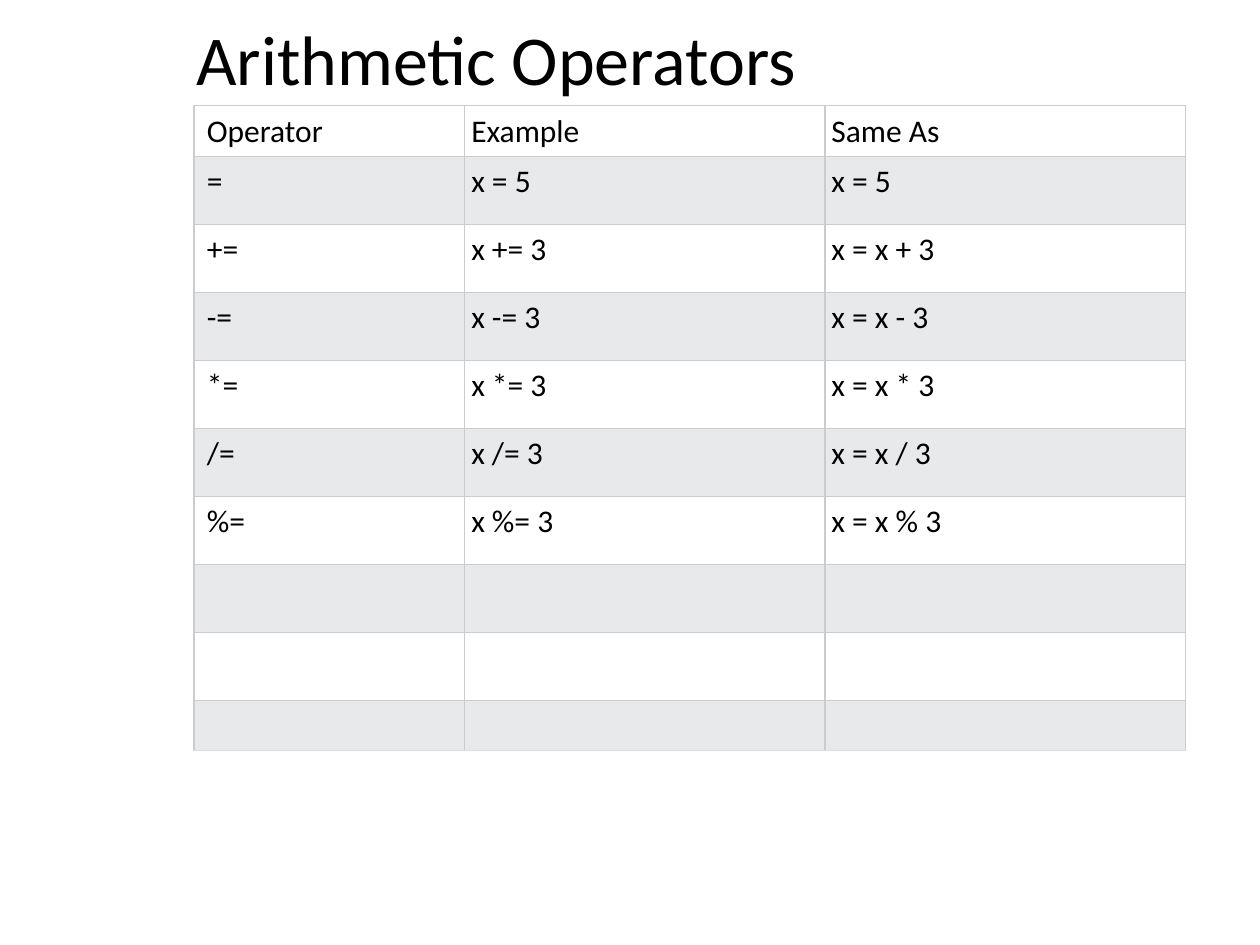
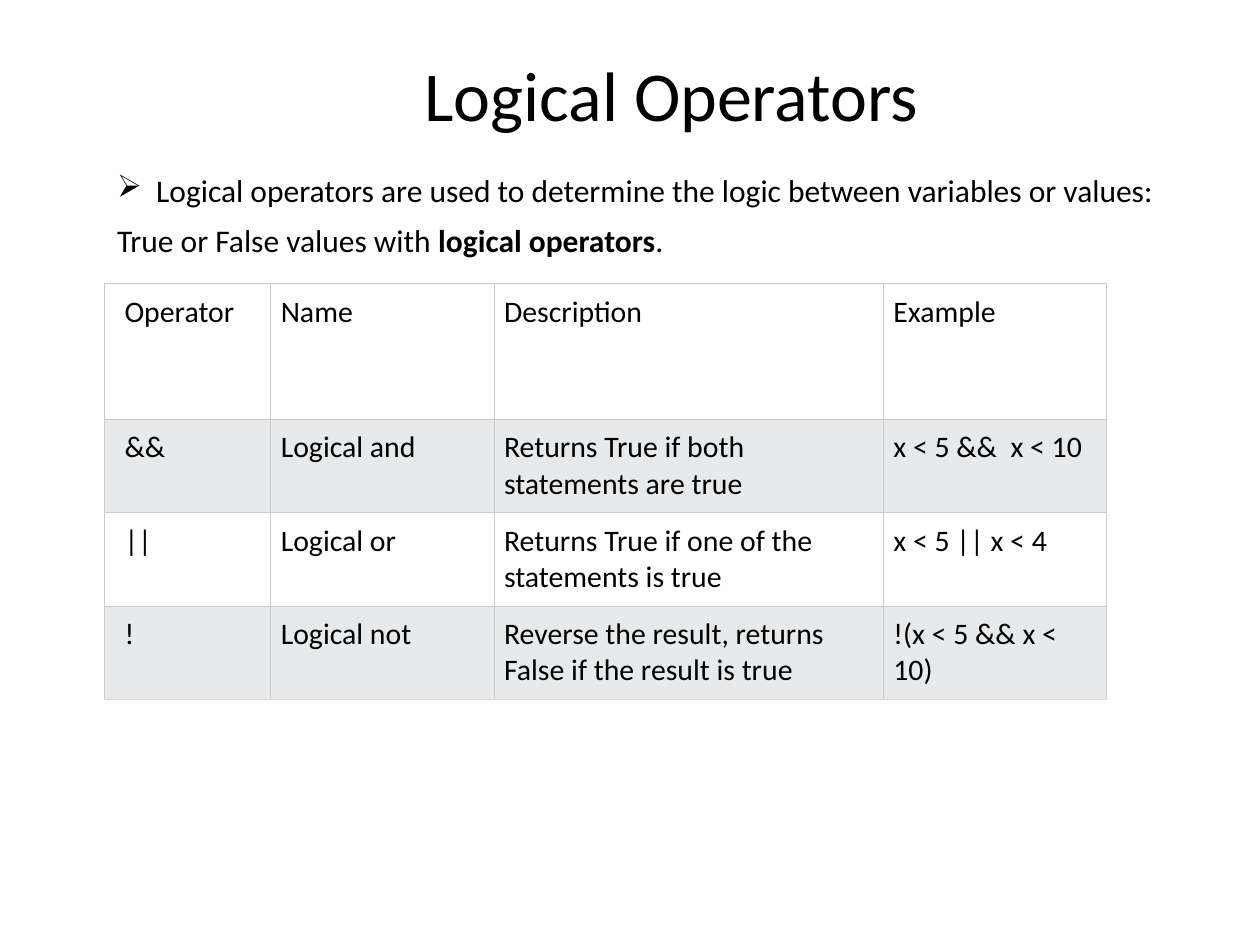
from lxml import etree
from pptx import Presentation, util as u
from pptx.dml.color import RGBColor
from pptx.enum import text
from pptx.oxml.ns import qn

FONT = "Calibri"
INK = "000000"
BANDS = ["FFFFFF", "E7E9EB"]
GRID, BASE = "CCCCCC", "DDDDDD"


def rgb(code):
    return RGBColor.from_string(code)


class Deck:
    """Holds the style and the current slide."""

    def __init__(self):
        self.prs = Presentation()
        self.prs.slide_width = u.Cm(25.4)
        self.prs.slide_height = u.Cm(19.05)
        self.slide = None

    def page(self):
        self.slide = self.prs.slides.add_slide(self.prs.slide_layouts[6])

    def run(self, para, words, size, bold=False):
        run = para.add_run()
        run.text = words
        font = run.font
        font.name, font.size, font.bold = FONT, u.Pt(size), bold
        font.color.rgb = rgb(INK)

    def box(self, left, top, width, height, runs, size=18, wrap=True):
        """Add a text box; runs are (words, bold) pairs. Return its paragraph."""
        box = self.slide.shapes.add_textbox(*map(u.Cm, (left, top, width, height)))
        frame = box.text_frame
        frame.word_wrap = wrap
        frame.auto_size = text.MSO_AUTO_SIZE.SHAPE_TO_FIT_TEXT
        para = frame.paragraphs[0]
        for words, bold in runs:
            self.run(para, words, size, bold)
        return para

    def title(self, left, top, width, words, wrap=True):
        self.box(left, top, width, 1.96, [(words, False)], 40, wrap)

    def bullet(self, para, mark, indent):
        props = para._p.get_or_add_pPr()
        props.set("marL", str(u.Cm(indent)))
        props.set("indent", str(-u.Cm(indent)))
        etree.SubElement(props, qn("a:buChar")).set("char", mark)

    def edge(self, cell, side, color):
        line = etree.SubElement(cell._tc.get_or_add_tcPr(), qn("a:ln" + side))
        line.set("w", str(u.Pt(0.75)))
        fill = etree.SubElement(line, qn("a:solidFill"))
        etree.SubElement(fill, qn("a:srgbClr")).set("val", color)

    def table(self, left, top, cols, heights, rows, size, pad):
        frame = self.slide.shapes.add_table(
            len(heights), len(cols), u.Cm(left), u.Cm(top),
            u.Cm(sum(cols)), u.Cm(sum(heights)))
        grid = frame.table
        grid.first_row = grid.horz_banding = False
        for col, width in zip(grid.columns, cols):
            col.width = u.Cm(width)
        last = len(heights) - 1
        for r, height in enumerate(heights):
            grid.rows[r].height = u.Cm(height)
            for c in range(len(cols)):
                cell = grid.cell(r, c)
                # The first column is indented twice as far
                cell.margin_left = u.Cm(pad if c else 2 * pad)
                cell.margin_right = cell.margin_top = cell.margin_bottom = u.Cm(pad)
                for side in "LRTB":
                    low = side == "B" and r == last
                    self.edge(cell, side, BASE if low else GRID)
                cell.fill.solid()
                cell.fill.fore_color.rgb = rgb(BANDS[r % 2])
                if r < len(rows):
                    self.run(cell.text_frame.paragraphs[0], rows[r][c], size)


def main():
    deck = Deck()

    # Arithmetic operators: three blank rows close the table
    deck.page()
    deck.title(3.71, 0.18, 38.07, "Arithmetic Operators")
    rows = [("Operator", "Example", "Same As"), ("=", "x = 5", "x = 5")]
    rows += [(f"{sign}=", f"x {sign}= 3", f"x = x {sign} 3") for sign in "+-*/%"]
    deck.table(3.91, 2.13, [5.46, 7.26, 7.26], [1] + [1.37] * 8 + [1],
               rows, 18, 0.13)

    # Logical operators
    deck.page()
    deck.title(8.31, 0.91, 10.57, "Logical Operators", wrap=False)
    lead = deck.box(2.11, 3.33, 22.2, 1.02, [
        ("Logical operators are used to determine the logic between "
         "variables or values:", False)])
    deck.bullet(lead, "➢", 0.79)
    deck.box(2.11, 4.34, 23.29, 1.02, [
        ("True or False values with ", False),
        ("logical operators", True), (".", False)])
    deck.table(2.11, 5.72, [3.35, 4.5, 7.85, 4.5], [2.74] + [1.88] * 3, [
        ("Operator", "Name", "Description", "Example"),
        ("&&", "Logical and", "Returns True if both statements are true",
         "x < 5 &&  x < 10"),
        ("||", "Logical or", "Returns True if one of the statements is true",
         "x < 5 || x < 4"),
        ("!", "Logical not",
         "Reverse the result, returns False if the result is true",
         "!(x < 5 && x < 10)"),
    ], 17, 0.2)

    deck.prs.save("out.pptx")


if __name__ == "__main__":
    main()
